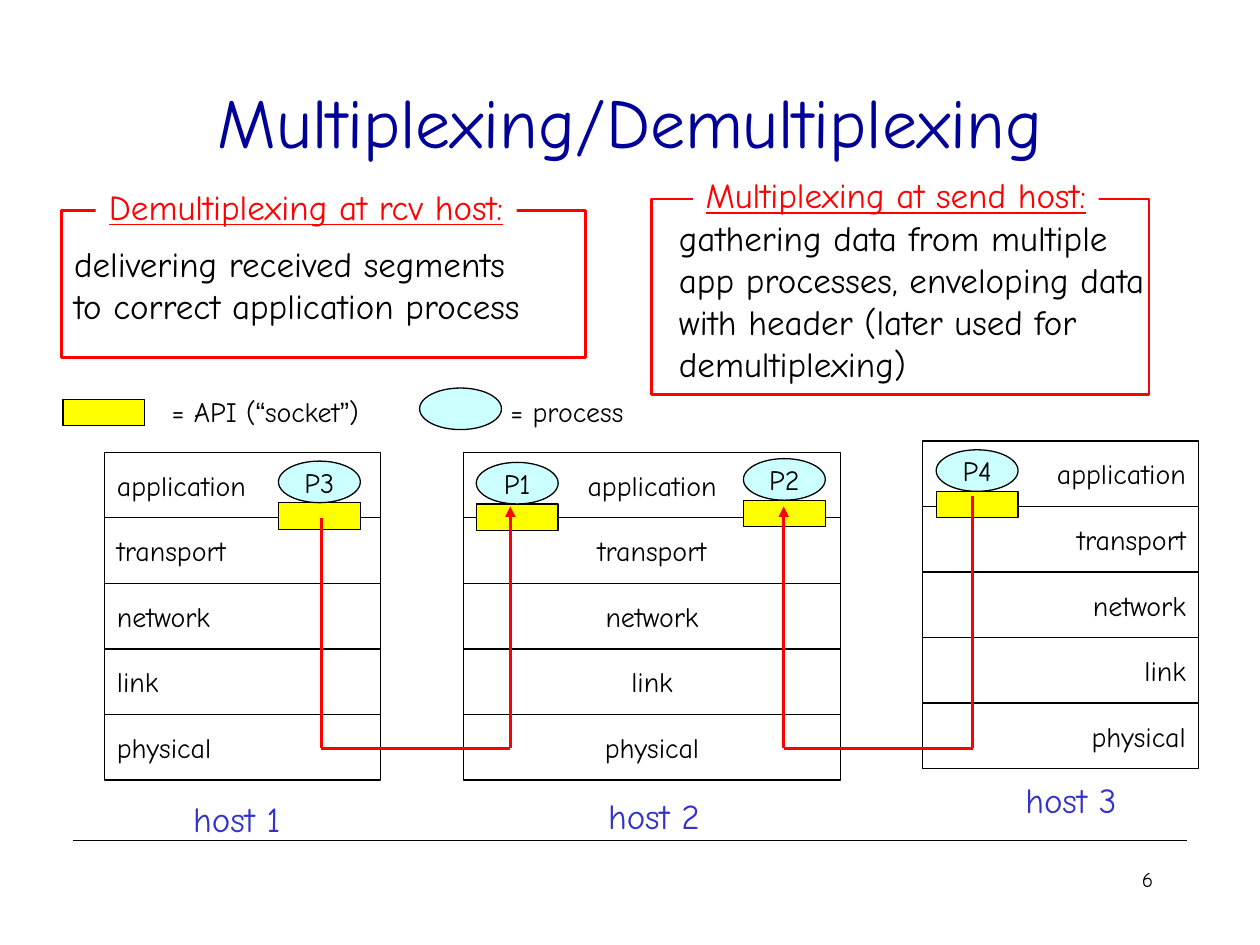
from dataclasses import dataclass
from itertools import groupby

from lxml.etree import SubElement
from pptx import Presentation
from pptx.dml.color import RGBColor
from pptx.enum.shapes import MSO_CONNECTOR, MSO_SHAPE
from pptx.enum.text import MSO_ANCHOR, PP_ALIGN
from pptx.oxml.ns import qn
from pptx.util import Pt

PX = 9144  # EMU in one px, 100 px to the inch
LEFT, MID, RIGHT = PP_ALIGN.LEFT, PP_ALIGN.CENTER, PP_ALIGN.RIGHT
LAYERS = ("application", "transport", "network", "link", "physical")


@dataclass(frozen=True)
class Theme:
    font: str = "Comic Neue"
    quote: str = "Arial"
    ink: str = "000000"
    paper: str = "FFFFFF"
    title: str = "000099"
    host: str = "3333CC"
    red: str = "FF0000"
    socket: str = "FFFF00"
    process: str = "CCFFFF"
    huge: int = 40
    large: int = 20
    small: int = 16
    tiny: int = 12
    thin: float = 0.75
    thick: float = 1.5


def write(shape, *lines, theme, size, color, align=LEFT, anchor=MSO_ANCHOR.TOP,
          under=False):
    """Fill a shape with one paragraph per line; curly quotes get their own font."""
    frame = shape.text_frame
    frame.word_wrap = align != MID
    frame.vertical_anchor = anchor
    for n, line in enumerate(lines):
        para = frame.add_paragraph() if n else frame.paragraphs[0]
        para.alignment = align
        for quoted, chars in groupby(line, lambda char: char in "“”"):
            run = para.add_run()
            run.text = "".join(chars)
            run.font.name = theme.quote if quoted else theme.font
            run.font.size = Pt(size)
            run.font.color.rgb = RGBColor.from_string(color)
            if under:
                run.font.underline = True


class Board:
    def __init__(self, slide, theme):
        self.slide = slide
        self.theme = theme

    def text(self, box, *lines, size=None, color=None, **style):
        shape = self.slide.shapes.add_textbox(*(n * PX for n in box))
        write(shape, *lines, theme=self.theme, size=size or self.theme.small,
              color=color or self.theme.ink, **style)

    def shape(self, kind, box, fill=None, line=None, width=None):
        shape = self.slide.shapes.add_shape(kind, *(n * PX for n in box))
        shape.shadow.inherit = False
        if fill:
            shape.fill.solid()
            shape.fill.fore_color.rgb = RGBColor.from_string(fill)
        else:
            shape.fill.background()
        if line:
            shape.line.color.rgb = RGBColor.from_string(line)
            shape.line.width = Pt(width or self.theme.thin)
        else:
            shape.line.fill.background()
        return shape

    def line(self, start, end, color, width, arrow=False):
        ends = (n * PX for n in (*start, *end))
        link = self.slide.shapes.add_connector(MSO_CONNECTOR.STRAIGHT, *ends)
        link.line.color.rgb = RGBColor.from_string(color)
        link.line.width = Pt(width)
        props = link._element.spPr
        if arrow:
            SubElement(props.find(qn("a:ln")), qn("a:tailEnd"), type="triangle")
        SubElement(props, qn("a:effectLst"))

    def stack(self, left, top, width, align):
        """Draw the protocol layers of one host."""
        high = 52
        for n, layer in enumerate(LAYERS):
            cell = self.shape(MSO_SHAPE.RECTANGLE, (left, top + n * high, width, high),
                              self.theme.paper, self.theme.ink)
            write(cell, layer, theme=self.theme, size=self.theme.small,
                  color=self.theme.ink, align=align, anchor=MSO_ANCHOR.MIDDLE)

    def socket(self, left, top):
        self.shape(MSO_SHAPE.RECTANGLE, (left, top, 65, 21),
                   self.theme.socket, self.theme.ink)

    def process(self, left, top, name=None):
        oval = self.shape(MSO_SHAPE.OVAL, (left, top, 65, 33),
                          self.theme.process, self.theme.ink)
        if name:
            write(oval, name, theme=self.theme, size=self.theme.small,
                  color=self.theme.ink, align=MID, anchor=MSO_ANCHOR.MIDDLE)

    def route(self, *points):
        """Draw a red path that ends in an arrow."""
        for start, end in zip(points, points[1:]):
            self.line(start, end, self.theme.red, self.theme.thick,
                      arrow=end == points[-1])

    def frame(self, box):
        return self.shape(MSO_SHAPE.RECTANGLE, box, line=self.theme.red,
                          width=self.theme.thick)

    def header(self, box, words):
        patch = self.shape(MSO_SHAPE.RECTANGLE, box, self.theme.paper)
        write(patch, words, theme=self.theme, size=self.theme.large,
              color=self.theme.red, align=MID, under=True)


def main():
    deck = Presentation()
    deck.slide_width, deck.slide_height = 1000 * PX, 750 * PX
    theme = Theme()
    board = Board(deck.slides.add_slide(deck.slide_layouts[6]), theme)

    board.line((58, 667), (942, 667), theme.ink, theme.thin)
    board.text((717, 683, 208, 50), "6", size=theme.tiny, align=RIGHT)
    board.text((75, 33, 850, 125), "Multiplexing/Demultiplexing", size=theme.huge,
               color=theme.title, align=MID, anchor=MSO_ANCHOR.MIDDLE)

    for left, top, width, align in ((83, 359, 219, LEFT), (732, 350, 219, RIGHT),
                                    (368, 359, 299, MID)):
        board.stack(left, top, width, align)
    for name, left, top in (("P2", 590, 364), ("P3", 221, 366),
                            ("P4", 743, 357), ("P1", 378, 367)):
        board.socket(left, top + 33)
        board.process(left, top, name)
    for name, left, top in (("host 1", 128, 628), ("host 2", 459, 626),
                            ("host 3", 790, 613)):
        board.text((left, top, 120, 44), name, size=theme.large, color=theme.host,
                   align=MID)

    base = 594
    board.route((255, 411), (255, base), (405, base), (405, 402))
    board.route((772, 394), (772, base), (622, base), (622, 402))

    board.socket(50, 317)
    board.process(333, 308)
    board.text((390, 308, 120, 37), "= process", align=MID)
    board.text((121, 308, 179, 37), "= API (“socket”)", align=MID)

    demux = board.frame((49, 167, 416, 117))
    write(demux, "delivering received segments", "to correct application process",
          theme=theme, size=theme.large, color=theme.ink, anchor=MSO_ANCHOR.MIDDLE)
    board.header((76, 142, 334, 44), "Demultiplexing at rcv host:")

    board.text((529, 167, 400, 144), "gathering data from multiple",
               "app processes, enveloping data", "with header (later used for",
               "demultiplexing)", size=theme.large)
    board.frame((517, 158, 395, 155))
    board.header((550, 133, 322, 44), "Multiplexing at send host:")

    deck.save("out.pptx")


if __name__ == "__main__":
    main()
